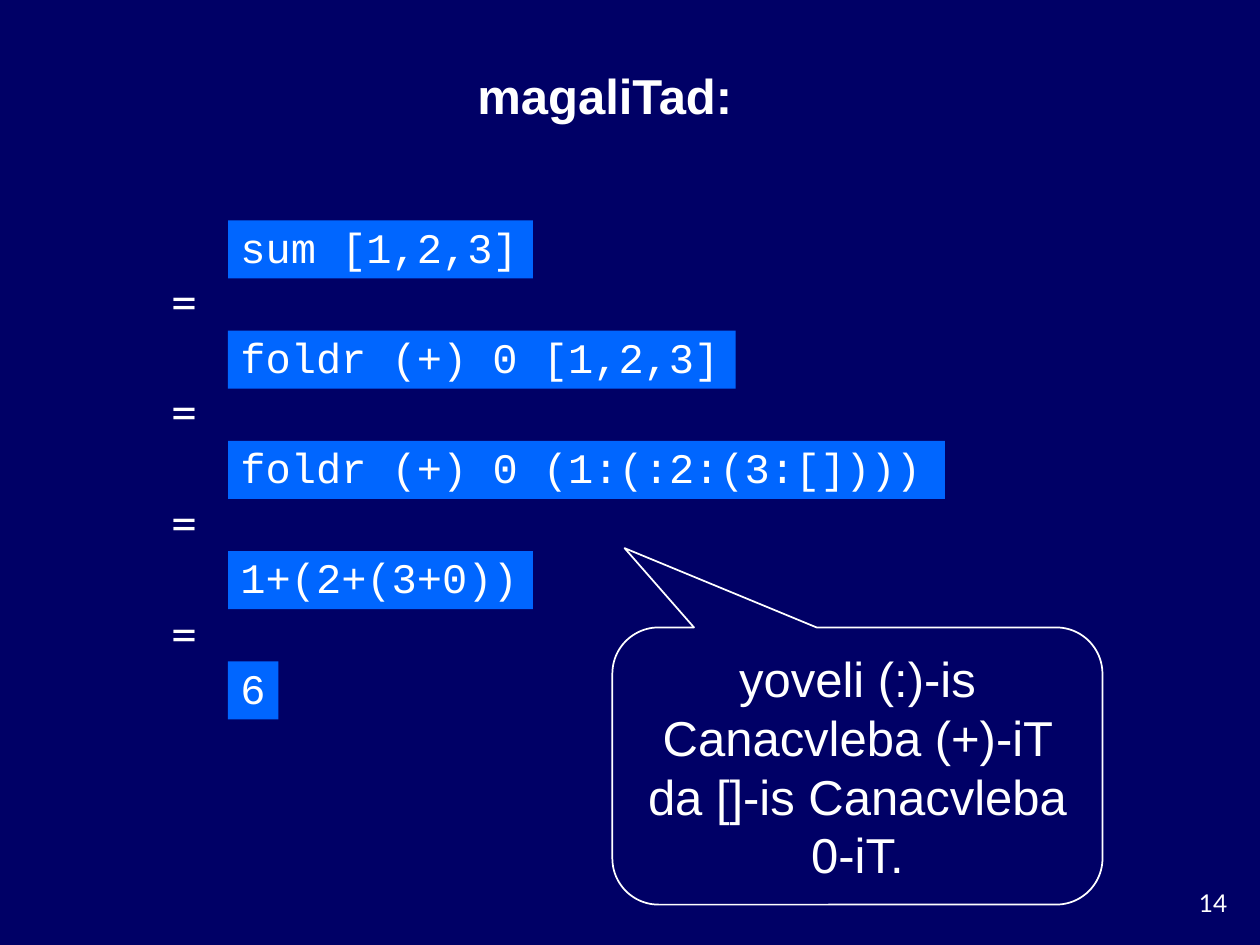
from pptx import Presentation
from pptx.dml.color import RGBColor
from pptx.enum.shapes import MSO_SHAPE
from pptx.enum.text import MSO_ANCHOR, PP_ALIGN
from pptx.util import Inches, Pt

RECTANGLE = MSO_SHAPE.RECTANGLE
CALLOUT = MSO_SHAPE.ROUNDED_RECTANGULAR_CALLOUT
MIDDLE = MSO_ANCHOR.MIDDLE
LEFT, CENTER, RIGHT = PP_ALIGN.LEFT, PP_ALIGN.CENTER, PP_ALIGN.RIGHT

NAVY, BLUE, WHITE = "000066", "0066FF", "FFFFFF"
STEP_TOP, STEP_PITCH = 1.75, 0.875
EQUALS_TOP, EQUALS_PITCH = 2.1, 0.88
STEPS = [
    ("sum [1,2,3]", 2.42),
    ("foldr (+) 0 [1,2,3]", 4.03),
    ("foldr (+) 0 (1:(:2:(3:[])))", 5.69),
    ("1+(2+(3+0))", 2.42),
    ("6", 0.4),
]


def color(value):
    return RGBColor.from_string(value)


def write(shape, text, font, size, alignment, bold=False, wrap=True):
    frame = shape.text_frame
    frame.text = text
    frame.word_wrap = wrap
    frame.vertical_anchor = MIDDLE
    paragraph = frame.paragraphs[0]
    paragraph.alignment = alignment
    run_font = paragraph.runs[0].font
    run_font.name = font
    run_font.size = Pt(size)
    run_font.bold = bold
    run_font.color.rgb = color(WHITE)
    return paragraph


def add_title(slide, text):
    title = slide.shapes.title
    title.left, title.top = Inches(0.37), Inches(0.47)
    title.width, title.height = Inches(8.86), Inches(0.57)
    write(title, text, "Arial", 28, CENTER, bold=True)


def add_label(slide, text, box, size, alignment):
    label = slide.shapes.add_textbox(*map(Inches, box))
    write(label, text, "Lato", size, alignment, wrap=False)


def add_step(slide, code, top, width):
    shape = slide.shapes.add_shape(
        RECTANGLE, Inches(1.81), Inches(top), Inches(width), Inches(0.46))
    shape.shadow.inherit = False
    shape.fill.solid()
    shape.fill.fore_color.rgb = color(BLUE)
    shape.line.fill.background()
    paragraph = write(shape, code, "Courier New", 24, LEFT, wrap=False)
    paragraph.line_spacing = 0.9


def add_callout(slide, text):
    callout = slide.shapes.add_shape(
        CALLOUT, Inches(4.86), Inches(4.98), Inches(3.89), Inches(2.2))
    for index, value in enumerate((-0.475, -0.786, 0.167)):
        callout.adjustments[index] = value
    callout.shadow.inherit = False
    callout.fill.background()
    callout.line.color.rgb = color(WHITE)
    callout.line.width = Pt(1)
    write(callout, text, "Arial", 28, CENTER)


def main():
    presentation = Presentation()
    presentation.slide_width = Inches(10)
    presentation.slide_height = Inches(7.5)
    slide = presentation.slides.add_slide(presentation.slide_layouts[5])
    slide.background.fill.solid()
    slide.background.fill.fore_color.rgb = color(NAVY)

    add_title(slide, "magaliTad:")
    for index, (code, width) in enumerate(STEPS):
        add_step(slide, code, STEP_TOP + index * STEP_PITCH, width)
    for index in range(len(STEPS) - 1):
        top = EQUALS_TOP + index * EQUALS_PITCH
        add_label(slide, "=", (1.22, top, 0.48, 0.57), 28, CENTER)
    add_callout(slide, "yoveli (:)-is Canacvleba (+)-iT da []-is Canacvleba 0-iT.")
    add_label(slide, "14", (9.17, 7, 0.67, 0.33), 14, RIGHT)
    presentation.save("out.pptx")


if __name__ == "__main__":
    main()
